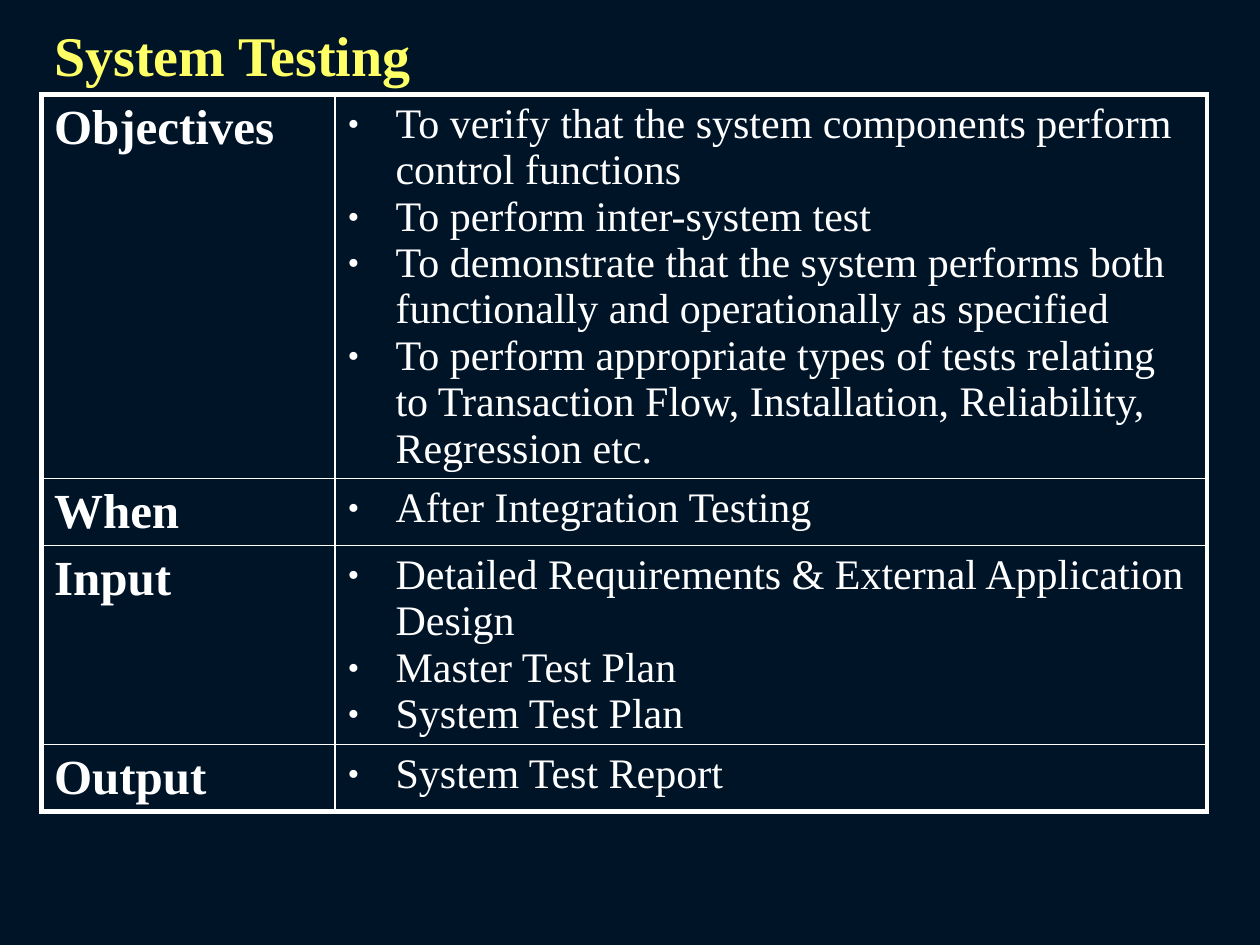
from typing import NamedTuple

from lxml.etree import SubElement
from pptx import Presentation
from pptx.dml.color import RGBColor as RGB
from pptx.enum.text import MSO_ANCHOR, MSO_AUTO_SIZE, PP_ALIGN
from pptx.oxml.ns import qn
from pptx.util import Inches, Pt

COLORS = {"background": "001428", "title": "FFFF66", "text": "FFFFFF", "line": "FFFFFF"}
FONT = "Times New Roman"
LEFT, TITLE_TOP, TABLE_TOP = 0.33, 0.17, 0.75
COLUMNS = (2.33, 6.92)
INDENT = 0.38
OUTER, INNER = 3, 1


class Section(NamedTuple):
    label: str
    height: float
    items: tuple[str, ...]


SECTIONS = (
    Section("Objectives", 3.04, (
        "To verify that the system components perform control functions",
        "To perform inter-system test",
        "To demonstrate that the system performs both functionally and operationally as specified",
        "To perform appropriate types of tests relating to Transaction Flow, "
        "Installation, Reliability, Regression etc.",
    )),
    Section("When", 0.53, ("After Integration Testing",)),
    Section("Input", 1.58, (
        "Detailed Requirements & External Application Design",
        "Master Test Plan",
        "System Test Plan",
    )),
    Section("Output", 0.53, ("System Test Report",)),
)


def add_run(p, text: str, size: float, color: str, bold: bool = False) -> None:
    r = p.add_run()
    r.text = text
    r.font.name, r.font.size, r.font.bold = FONT, Pt(size), bold
    r.font.color.rgb = RGB.from_string(COLORS[color])


def add_bullet(p) -> None:
    pPr = p._p.get_or_add_pPr()
    pPr.set("marL", str(Inches(INDENT)))
    pPr.set("indent", str(-Inches(INDENT)))
    color = SubElement(pPr, qn("a:buClr"))
    SubElement(color, qn("a:srgbClr"), val=COLORS["text"])
    SubElement(pPr, qn("a:buSzPct"), val="80000")
    SubElement(pPr, qn("a:buFont"), typeface=FONT)
    SubElement(pPr, qn("a:buChar"), char="•")


def format_cell(cell, row: int, col: int) -> None:
    """Rule the cell, heavier along the table's outer edge, and clear its fill."""
    edges = {
        "a:lnL": col == 0,
        "a:lnR": col == len(COLUMNS) - 1,
        "a:lnT": row == 0,
        "a:lnB": row == len(SECTIONS) - 1,
    }
    tcPr = cell._tc.get_or_add_tcPr()
    for tag, is_outer in edges.items():
        ln = SubElement(tcPr, qn(tag), w=str(Pt(OUTER if is_outer else INNER)))
        fill = SubElement(ln, qn("a:solidFill"))
        SubElement(fill, qn("a:srgbClr"), val=COLORS["line"])
    cell.fill.background()


def add_title(s, text: str) -> None:
    sp = s.shapes.title
    sp.left, sp.top = Inches(LEFT), Inches(TITLE_TOP)
    sp.width, sp.height = Inches(4.42), Inches(TABLE_TOP - TITLE_TOP)
    tf = sp.text_frame
    tf.auto_size, tf.vertical_anchor = MSO_AUTO_SIZE.NONE, MSO_ANCHOR.TOP
    p = tf.paragraphs[0]
    p.alignment, p.line_spacing = PP_ALIGN.LEFT, 0.9
    add_run(p, text, 32, "title", bold=True)


def add_sections(s, sections: tuple[Section, ...]) -> None:
    size = sum(COLUMNS), sum(section.height for section in sections)
    table = s.shapes.add_table(
        len(sections), len(COLUMNS), *map(Inches, (LEFT, TABLE_TOP, *size))
    ).table
    table.first_row = table.horz_banding = False
    for column, width in zip(table.columns, COLUMNS):
        column.width = Inches(width)
    for i, section in enumerate(sections):
        table.rows[i].height = Inches(section.height)
        label, details = table.cell(i, 0), table.cell(i, 1)
        add_run(label.text_frame.paragraphs[0], section.label, 28, "text", bold=True)
        tf = details.text_frame
        for j, item in enumerate(section.items):
            p = tf.add_paragraph() if j else tf.paragraphs[0]
            add_bullet(p)
            add_run(p, item, 24, "text")
        for col, cell in enumerate((label, details)):
            format_cell(cell, i, col)


def main() -> None:
    prs = Presentation()
    prs.slide_width, prs.slide_height = Inches(10), Inches(7.5)
    s = prs.slides.add_slide(prs.slide_layouts.get_by_name("Title Only"))
    s.background.fill.solid()
    s.background.fill.fore_color.rgb = RGB.from_string(COLORS["background"])
    add_title(s, "System Testing")
    add_sections(s, SECTIONS)
    prs.save("out.pptx")


if __name__ == "__main__":
    main()
